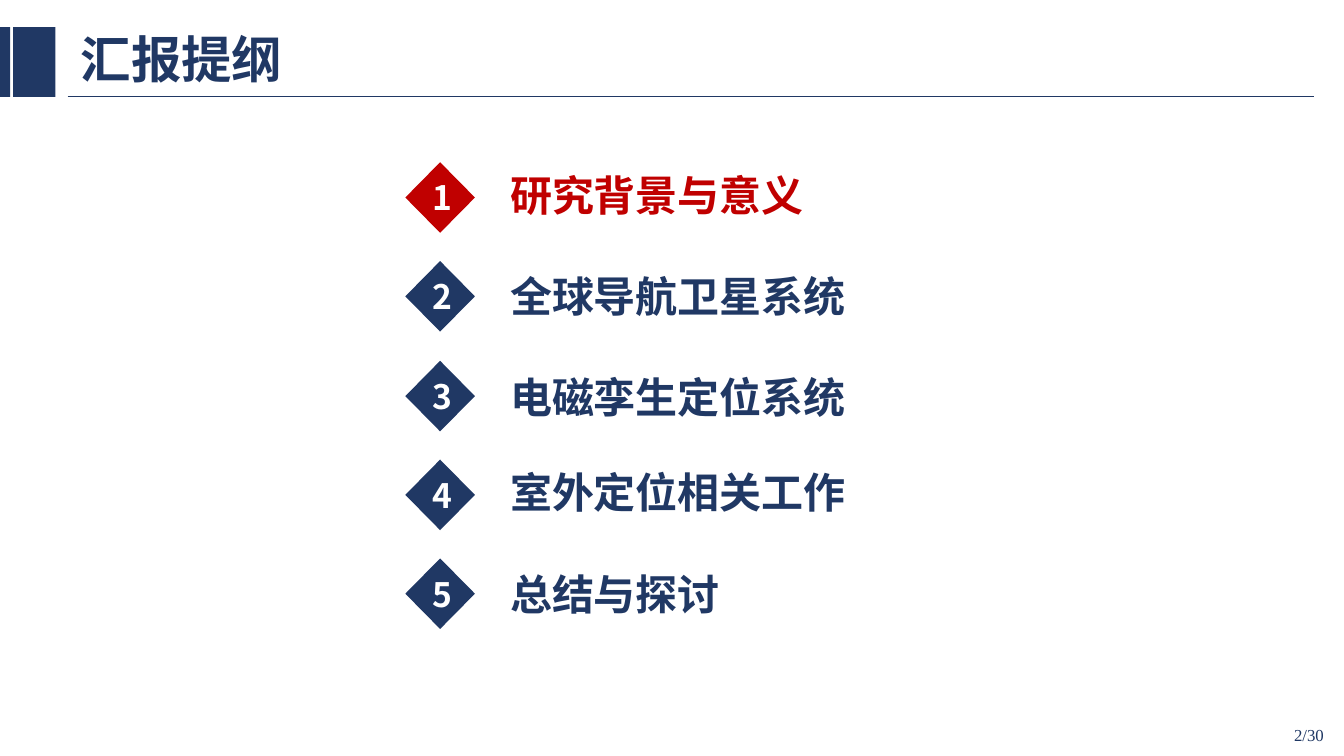
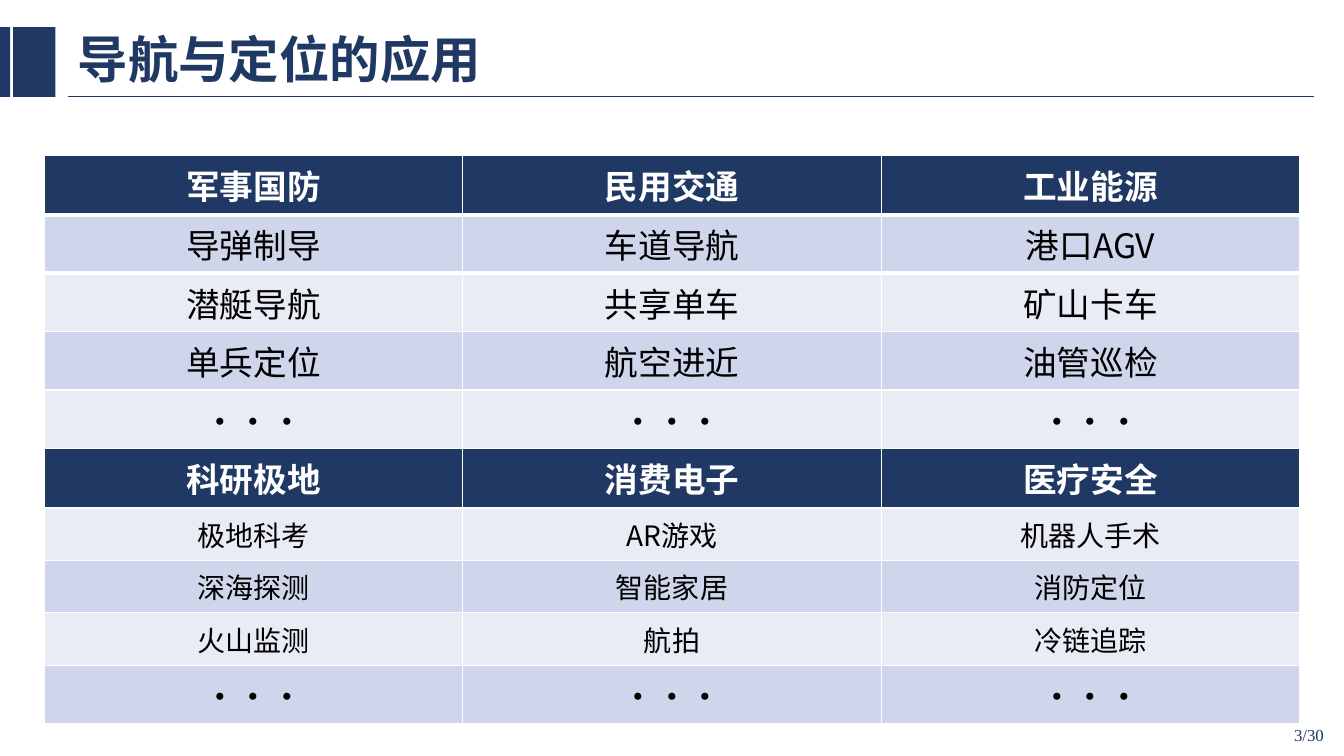
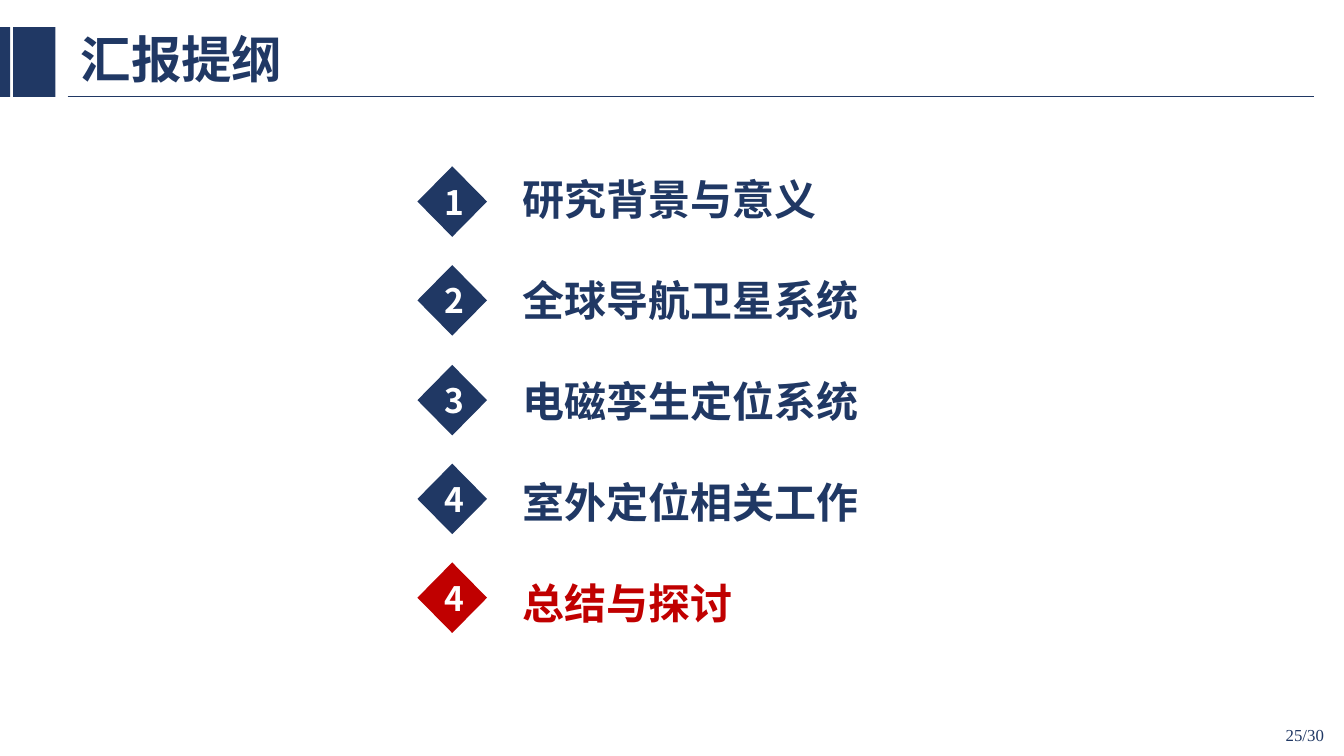
from lxml import etree
from pptx import Presentation
from pptx.dml.color import RGBColor
from pptx.enum.shapes import MSO_CONNECTOR, MSO_SHAPE
from pptx.enum.text import MSO_ANCHOR, MSO_AUTO_SIZE, PP_ALIGN
from pptx.oxml.ns import qn
from pptx.util import Emu, Pt

EMU_PER_PX = 9144
TITLE_ONLY = 5
PAGE_COUNT = 30
LEFT, CENTER, RIGHT = PP_ALIGN.LEFT, PP_ALIGN.CENTER, PP_ALIGN.RIGHT
MIDDLE = MSO_ANCHOR.MIDDLE
RECTANGLE, DIAMOND = MSO_SHAPE.RECTANGLE, MSO_SHAPE.DIAMOND
STRAIGHT = MSO_CONNECTOR.STRAIGHT

HEADING_FONT = "Noto Sans CJK SC"
NUMBER_FONT = "Times New Roman"
COLORS = {
    "navy": "203864",
    "red": "C00000",
    "white": "FFFFFF",
    "black": "000000",
    "band_dark": "CFD5EA",
    "band_light": "E9EBF5",
}

OUTLINE_TITLE = "汇报提纲"
TOPICS = ["研究背景与意义", "全球导航卫星系统", "电磁孪生定位系统", "室外定位相关工作", "总结与探讨"]
DIAMOND_PITCH = 98.25

APPLICATIONS = [
    ["军事国防", "民用交通", "工业能源"],
    ["导弹制导", "车道导航", "港口AGV"],
    ["潜艇导航", "共享单车", "矿山卡车"],
    ["单兵定位", "航空进近", "油管巡检"],
    ["···"] * 3,
    ["科研极地", "消费电子", "医疗安全"],
    ["极地科考", "AR游戏", "机器人手术"],
    ["深海探测", "智能家居", "消防定位"],
    ["火山监测", "航拍", "冷链追踪"],
    ["···"] * 3,
]
HEADER_ROWS = (0, 5)
SMALL_ROWS = (6, 7, 8)
HEADER_HEIGHT, ROW_HEIGHT, SMALL_HEIGHT = 59, 58, 52


def px(*lengths):
    """Turn px lengths into a list of EMU lengths."""
    return [Emu(length * EMU_PER_PX) for length in lengths]


def color(name):
    return RGBColor.from_string(COLORS[name])


def write(text_frame, text, size, color_name, bold=False, align=LEFT, font_name=HEADING_FONT):
    """Fill a text frame with one formatted paragraph and return it."""
    text_frame.text = text
    paragraph = text_frame.paragraphs[0]
    paragraph.alignment = align
    font = paragraph.font
    font.size = Pt(size)
    font.bold = bold
    font.color.rgb = color(color_name)
    font.name = font_name
    run_defaults = paragraph._p.pPr.find(qn("a:defRPr"))
    etree.SubElement(run_defaults, qn("a:ea")).set("typeface", font_name)
    return paragraph


def add_filled_shape(slide, kind, box, color_name):
    shape = slide.shapes.add_shape(kind, *px(*box))
    shape.shadow.inherit = False
    shape.fill.solid()
    shape.fill.fore_color.rgb = color(color_name)
    shape.line.fill.background()
    return shape


def add_textbox(slide, box):
    text_frame = slide.shapes.add_textbox(*px(*box)).text_frame
    text_frame.word_wrap = True
    return text_frame


def add_title_rule(slide):
    rule = slide.shapes.add_connector(STRAIGHT, *px(67, 96, 1303, 96))
    rule.line.color.rgb = color("navy")
    rule.line.width = Pt(1)
    etree.SubElement(rule._element.spPr, qn("a:effectLst"))


def add_page(presentation, title, title_box, number):
    """Add a slide with the shared title, bars, rule and page number."""
    slide = presentation.slides.add_slide(presentation.slide_layouts[TITLE_ONLY])
    add_title_rule(slide)
    for left, width in ((0, 10), (13, 42)):
        add_filled_shape(slide, RECTANGLE, (left, 27, width, 69), "navy")

    heading = slide.shapes.title
    heading.left, heading.top, heading.width, heading.height = px(*title_box)
    heading.text_frame.vertical_anchor = MIDDLE
    heading.text_frame.auto_size = MSO_AUTO_SIZE.NONE
    write(heading.text_frame, title, 36, "navy", bold=True).line_spacing = 0.9

    page_number = add_textbox(slide, (1023, 709, 300, 40))
    page_number.vertical_anchor = MIDDLE
    write(page_number, f"{number}/{PAGE_COUNT}", 12, "navy", align=RIGHT, font_name=NUMBER_FONT)
    return slide


def add_outline(presentation, number, left, top, numerals, label_tops, current):
    """Add an outline slide whose current topic is red."""
    slide = add_page(presentation, OUTLINE_TITLE, (70, 22, 269, 80), number)
    for index, (numeral, topic, label_top) in enumerate(zip(numerals, TOPICS, label_tops)):
        color_name = "red" if index == current else "navy"
        diamond_top = round(top + index * DIAMOND_PITCH)
        diamond = add_filled_shape(slide, DIAMOND, (left, diamond_top, 69, 70), color_name)
        diamond.text_frame.vertical_anchor = MIDDLE
        write(diamond.text_frame, numeral, 24, "white", bold=True, align=CENTER)
        label = add_textbox(slide, (left + 94, label_top, 635, 61))
        write(label, topic, 30, color_name, bold=True)


def set_border(cell, side, width):
    """Draw a white border on one side of a cell: lnL, lnR, lnT or lnB."""
    border = etree.Element(qn(f"a:{side}"), w=str(Pt(width)))
    fill = etree.SubElement(border, qn("a:solidFill"))
    etree.SubElement(fill, qn("a:srgbClr")).set("val", COLORS["white"])
    cell._tc.get_or_add_tcPr().insert(0, border)


def row_height(row):
    if row in HEADER_ROWS:
        return HEADER_HEIGHT
    return SMALL_HEIGHT if row in SMALL_ROWS else ROW_HEIGHT


def add_applications(presentation, number):
    slide = add_page(presentation, "导航与定位的应用", (67, 22, 672, 80), number)
    rows, columns = len(APPLICATIONS), len(APPLICATIONS[0])
    heights = [row_height(row) for row in range(rows)]
    table = slide.shapes.add_table(rows, columns, *px(44, 154, 415 * columns, sum(heights))).table
    for row, texts in enumerate(APPLICATIONS):
        table.rows[row].height = px(heights[row])[0]
        is_header = row in HEADER_ROWS
        band = "band_dark" if row % 2 else "band_light"
        for column, text in enumerate(texts):
            cell = table.cell(row, column)
            cell.fill.solid()
            cell.fill.fore_color.rgb = color("navy" if is_header else band)
            cell.vertical_anchor = MIDDLE
            write(cell.text_frame, text, 20 if row in SMALL_ROWS else 24,
                  "white" if is_header else "black", bold=is_header, align=CENTER)
            if row == 0:
                set_border(cell, "lnB", 3)
            elif row == 1:
                set_border(cell, "lnT", 3)


def main():
    presentation = Presentation()
    presentation.slide_width, presentation.slide_height = px(1333, 750)
    add_outline(presentation, 2, 402, 161, "12345", (163, 263, 364, 458, 559), current=0)
    add_applications(presentation, 3)
    add_outline(presentation, 25, 414, 165, "12344", (167, 267, 368, 468, 568), current=4)
    presentation.save("out.pptx")


if __name__ == "__main__":
    main()
